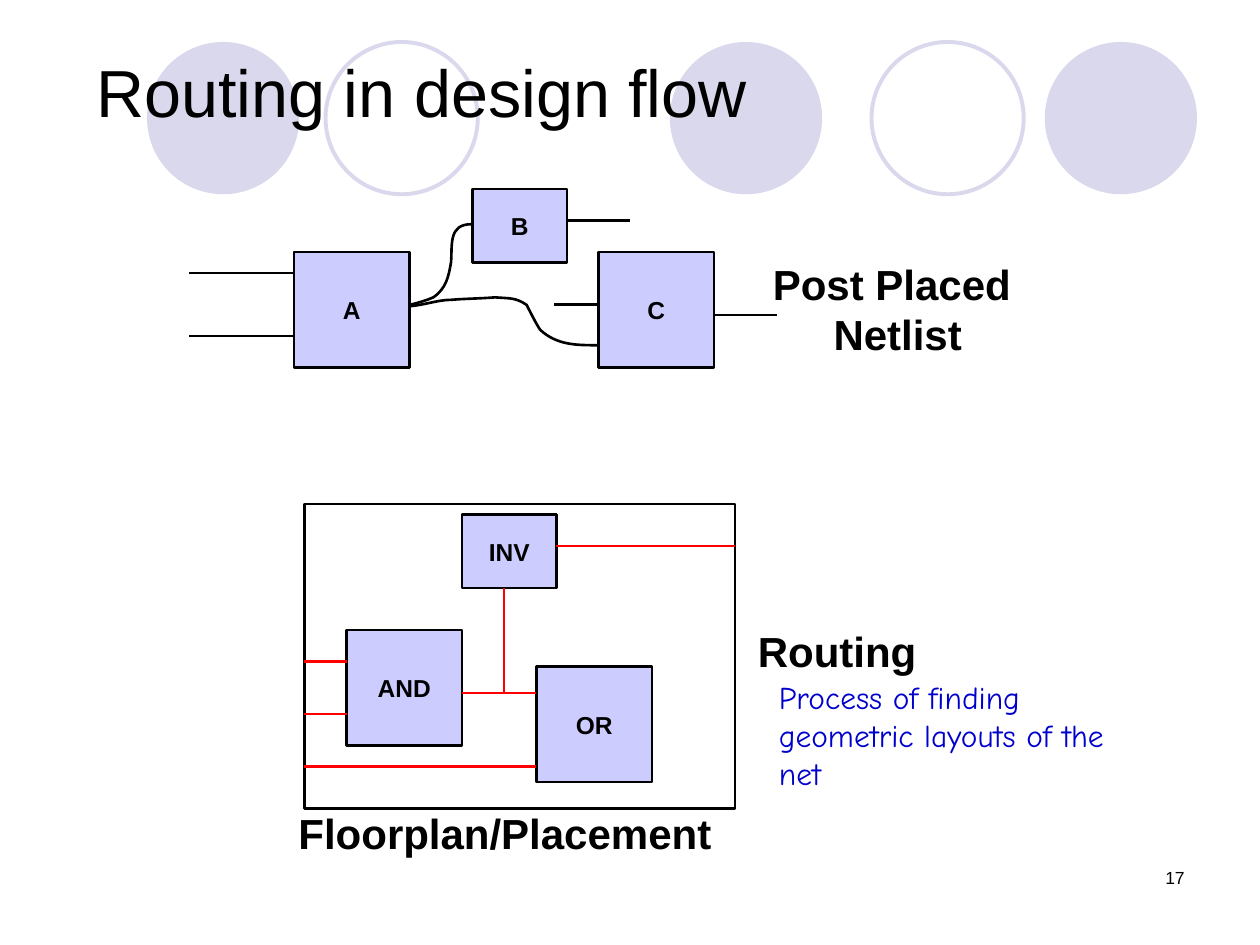
import pptx
import pptx.dml.color
import pptx.enum.shapes
import pptx.enum.text
import pptx.oxml.ns
import pptx.util
from lxml import etree

# Content: lengths are cells of a 120 x 90 grid (12 cells to the inch)
CELL = pptx.util.Inches(1) // 12
COLOURS = {"ink": "000000", "block": "CCCCFF", "wire": "FF0000",
           "circle": "D9D8EC", "note": "0000CC"}
CIRCLE_TOP, CIRCLE_SIZE = 4, 14.5
CIRCLES = [(14, True), (31, False), (63.8, True), (83, False), (99.5, True)]
BIG, SMALL = (11, 11), (9, 7)
FLOORPLAN = (29, 48, 41, 29)
BLOCKS = [("A", 28, 24, BIG), ("C", 57, 24, BIG), ("B", 45, 18, SMALL),
          ("AND", 33, 60, BIG), ("OR", 51.1, 63.5, BIG), ("INV", 44, 49, SMALL)]
NET_LINES = [(18, 26, 28, 26), (18, 32, 28, 32), (54, 21, 60, 21),
             (68, 30, 74, 30), (56.9, 29, 52.8, 29)]
ROUTES = [(33, 63, 29, 63), (33, 68, 29, 68), (44, 66, 51, 66),
          (48, 66, 48, 56), (51, 73, 29, 73), (53, 52, 70, 52)]
# Start point, then three points for each cubic curve, in hundredths of an inch
CURVES = [
    [(325, 242), (333, 240), (337, 239), (344, 236), (354, 229), (356, 220),
     (358, 208), (359, 194), (356, 178), (374, 178)],
    [(326, 243), (337, 242), (348, 238), (358, 238), (370, 237), (381, 237),
     (393, 236), (405, 237), (409, 236), (418, 242), (419, 244), (427, 260),
     (429, 262), (442, 274), (458, 274), (474, 274)],
]
HEADING = {"size": 24, "bold": True}
TEXTS = [
    (["Routing in design flow"], (8, 4, 106, 9.4), "LEFT", True,
     {"size": 38, "anchor": "MIDDLE"}),
    (["Post Placed ", "Netlist"], (72.4, 24, 26.2, 10.8), "CENTER", False, HEADING),
    (["Floorplan/Placement"], (27.2, 76.3, 41.8, 6), "CENTER", False, HEADING),
    (["Routing"], (71, 59, 17.5, 6), "LEFT", False, HEADING),
    (["Process of finding geometric layouts of the net"], (73, 64, 37, 12),
     "LEFT", True, {"size": 18, "name": "Comic Neue", "colour": "note"}),
    (["17"], (86, 82, 28, 6), "RIGHT", True, {"size": 10}),
]


def cells(*values):
    return [round(value * CELL) for value in values]


def colour(name):
    return pptx.dml.color.RGBColor.from_string(COLOURS[name])


def style(shape, fill=None, line=None, width=1.5):
    shape.shadow.inherit = False
    if fill:
        shape.fill.solid()
        shape.fill.fore_color.rgb = colour(fill)
    else:
        shape.fill.background()
    if line:
        shape.line.color.rgb = colour(line)
        shape.line.width = pptx.util.Pt(width)
    else:
        shape.line.fill.background()


def write(box, lines, align, wrap, size, bold=False, name="Arial",
          colour_name="ink", anchor="TOP"):
    frame = box.text_frame
    frame.word_wrap = wrap
    frame.vertical_anchor = getattr(pptx.enum.text.MSO_ANCHOR, anchor)
    frame.text = "\n".join(lines)
    font_format = {"size": pptx.util.Pt(size), "bold": bold, "name": name}
    for para in frame.paragraphs:
        para.alignment = getattr(pptx.enum.text.PP_ALIGN, align)
        for span in para.runs:
            for key, value in font_format.items():
                setattr(span.font, key, value)
            span.font.color.rgb = colour(colour_name)


def add_shape(page, kind, place, **look):
    shape = page.shapes.add_shape(
        getattr(pptx.enum.shapes.MSO_SHAPE, kind), *cells(*place))
    style(shape, **look)
    return shape


def add_line(page, ends, line_colour):
    line = page.shapes.add_connector(
        pptx.enum.shapes.MSO_CONNECTOR.STRAIGHT, *cells(*ends))
    line.line.color.rgb = colour(line_colour)
    line.line.width = pptx.util.Pt(1.5)
    etree.SubElement(line._element.spPr, pptx.oxml.ns.qn("a:effectLst"))


def add_curve(page, points):
    builder = page.shapes.build_freeform(
        *points[0], scale=pptx.util.Inches(1) / 100)
    builder.add_line_segments(points[1:], close=False)
    shape = builder.convert_to_shape()
    style(shape, line="ink")
    # Join each three straight segments into one cubic curve
    segments = list(shape._element.iter(pptx.oxml.ns.qn("a:lnTo")))
    for start in range(0, len(segments), 3):
        curve = etree.Element(pptx.oxml.ns.qn("a:cubicBezTo"))
        segments[start].addprevious(curve)
        for segment in segments[start:start + 3]:
            curve.append(segment[0])
            segment.getparent().remove(segment)


def main():
    deck = pptx.Presentation()
    deck.slide_width, deck.slide_height = cells(120, 90)
    page = deck.slides.add_slide(deck.slide_layouts[6])

    # Background circles
    for left, filled in CIRCLES:
        look = {"fill": "circle"} if filled else {"line": "circle", "width": 2.25}
        add_shape(page, "OVAL", (left, CIRCLE_TOP, CIRCLE_SIZE, CIRCLE_SIZE), **look)

    # Netlist and floorplan blocks
    add_shape(page, "RECTANGLE", FLOORPLAN, line="ink")
    for label, left, top, size in BLOCKS:
        block = add_shape(page, "RECTANGLE", (left, top, *size),
                          fill="block", line="ink")
        write(block, [label], "CENTER", False, 14, bold=True, anchor="MIDDLE")

    # Nets and routed wires
    for line_colour, lines in (("ink", NET_LINES), ("wire", ROUTES)):
        for ends in lines:
            add_line(page, ends, line_colour)
    for points in CURVES:
        add_curve(page, points)

    # Title, captions and page number
    for lines, place, align, wrap, look in TEXTS:
        box = page.shapes.add_textbox(*cells(*place))
        look = {"colour_name" if key == "colour" else key: value
                for key, value in look.items()}
        write(box, lines, align, wrap, **look)

    deck.save("out.pptx")


if __name__ == "__main__":
    main()
